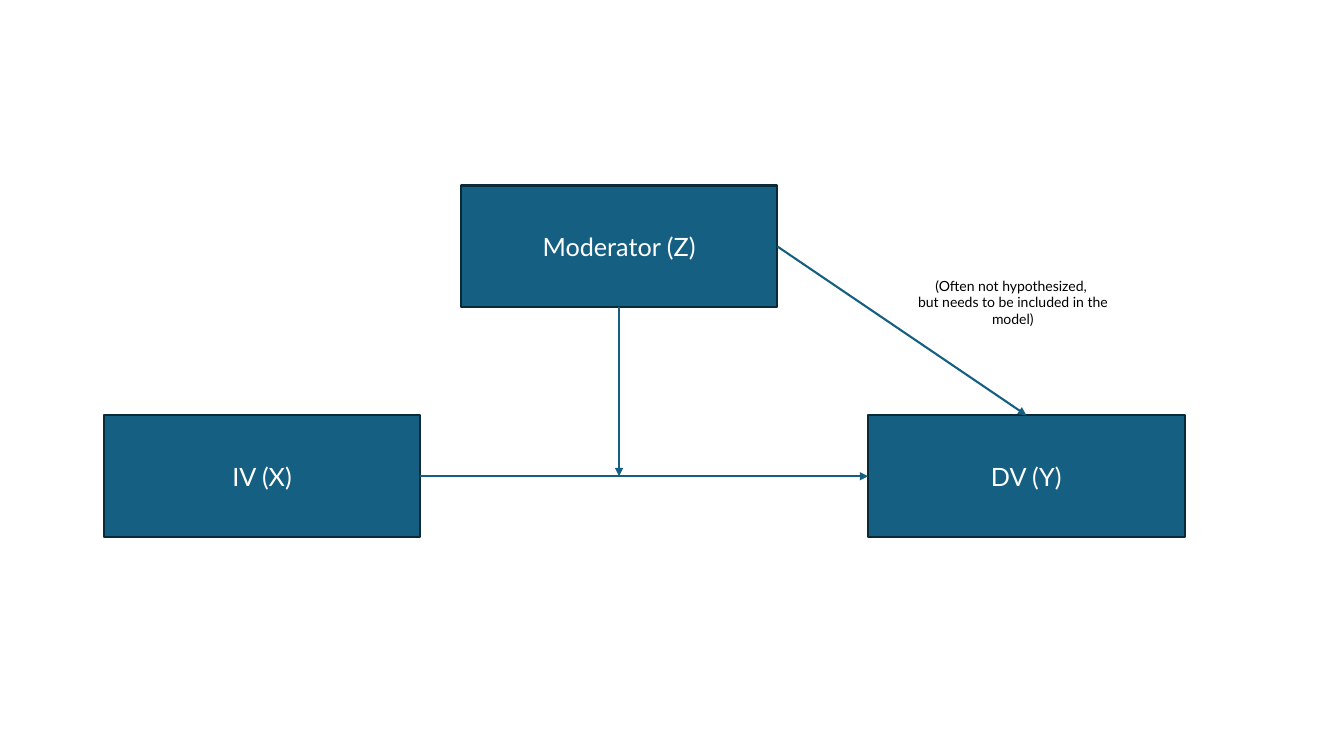
from lxml.etree import SubElement
from pptx import Presentation
from pptx.dml.color import RGBColor
from pptx.enum.shapes import MSO_CONNECTOR, MSO_SHAPE
from pptx.enum.text import MSO_ANCHOR, MSO_AUTO_SIZE, PP_ALIGN
from pptx.oxml.ns import qn
from pptx.util import Inches, Pt

COLORS = {"box": "156082", "border": "092A39", "label": "FFFFFF", "note": "000000"}
TOP, LEFT, BOTTOM, RIGHT = range(4)
BOX_W, BOX_H = 3.14, 1.21


def rgb(name):
    return RGBColor.from_string(COLORS[name])


class Diagram:
    font = "Lato"
    line_width = Pt(1.5)

    def __init__(self, slide):
        self.s = slide

    def text(self, tf, text, size, color):
        p = tf.paragraphs[0]
        p.text = text
        p.alignment = PP_ALIGN.CENTER
        for r in p.runs:
            for name, value in {"name": self.font, "size": Pt(size)}.items():
                setattr(r.font, name, value)
            r.font.color.rgb = rgb(color)

    def box(self, text, x, y):
        sp = self.s.shapes.add_shape(
            MSO_SHAPE.RECTANGLE, Inches(x), Inches(y), Inches(BOX_W), Inches(BOX_H))
        sp.shadow.inherit = False
        sp.fill.solid()
        sp.fill.fore_color.rgb = rgb("box")
        sp.line.color.rgb = rgb("border")
        sp.line.width = self.line_width
        sp.text_frame.vertical_anchor = MSO_ANCHOR.MIDDLE
        self.text(sp.text_frame, text, 18, "label")
        return sp

    def arrow(self, start, start_side, end=None, end_side=None, to=(0, 0)):
        cx = self.s.shapes.add_connector(
            MSO_CONNECTOR.STRAIGHT, 0, 0, Inches(to[0]), Inches(to[1]))
        cx.begin_connect(start, start_side)
        if end is not None:
            cx.end_connect(end, end_side)
        cx.line.color.rgb = rgb("box")
        cx.line.width = self.line_width
        spPr = cx.element.spPr
        SubElement(spPr.find(qn("a:ln")), qn("a:tailEnd"), type="triangle")
        SubElement(spPr, qn("a:effectLst"))

    def note(self, text, x, y, w, h):
        sp = self.s.shapes.add_textbox(Inches(x), Inches(y), Inches(w), Inches(h))
        tf = sp.text_frame
        for name, value in {"word_wrap": True,
                            "auto_size": MSO_AUTO_SIZE.SHAPE_TO_FIT_TEXT}.items():
            setattr(tf, name, value)
        self.text(tf, text, 10, "note")


def main():
    prs = Presentation()
    prs.slide_width, prs.slide_height = Inches(13.33), Inches(7.5)
    d = Diagram(prs.slides.add_slide(prs.slide_layouts[6]))

    mod_x, mod_y, row_y = 4.57, 1.84, 4.12
    moderator = d.box("Moderator (Z)", mod_x, mod_y)
    iv = d.box("IV (X)", 1.03, row_y)
    dv = d.box("DV (Y)", 8.61, row_y)

    d.arrow(iv, RIGHT, dv, LEFT)
    d.arrow(moderator, BOTTOM, to=(mod_x + BOX_W / 2, row_y + BOX_H / 2))
    d.arrow(moderator, RIGHT, dv, TOP)

    d.note("(Often not hypothesized, \vbut needs to be included in the model)",
           8.79, 2.7, 2.51, 0.6)
    prs.save("out.pptx")


if __name__ == "__main__":
    main()
